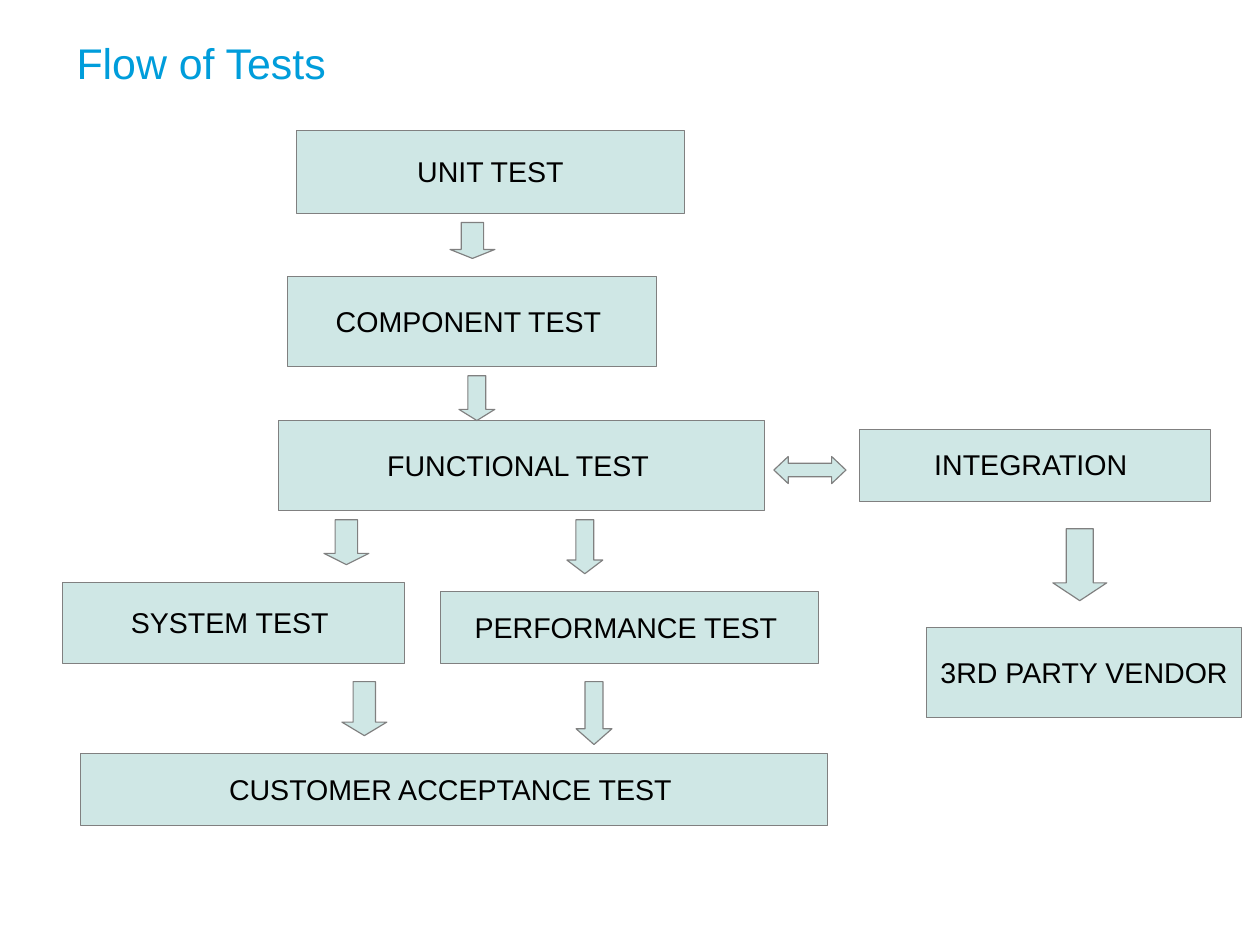
import pptx
import pptx.dml.color
import pptx.enum.shapes
import pptx.enum.text
import pptx.util

Pt = pptx.util.Pt
RGBColor = pptx.dml.color.RGBColor
SHAPE = pptx.enum.shapes.MSO_SHAPE
ALIGN = pptx.enum.text.PP_ALIGN
ANCHOR = pptx.enum.text.MSO_ANCHOR

TITLE_BLUE = RGBColor(0x00, 0x9D, 0xDB)
PALE_GREEN = RGBColor(0xCF, 0xE7, 0xE5)
OUTLINE_GRAY = RGBColor(0x80, 0x80, 0x80)
BLACK = RGBColor(0x00, 0x00, 0x00)

# Label, outline, then left, top, width, height in points
STAGES = [
    ("UNIT TEST", SHAPE.FLOWCHART_PROCESS, 187, 82.1, 244, 52.6),
    ("COMPONENT TEST ", SHAPE.FLOWCHART_PROCESS, 181.2, 174.1, 232.6, 56.7),
    ("FUNCTIONAL TEST ", SHAPE.FLOWCHART_PROCESS, 175.7, 264.8, 306, 56.8),
    ("SYSTEM TEST ", SHAPE.RECTANGLE, 39.4, 366.9, 215.4, 51),
    ("PERFORMANCE TEST ", SHAPE.RECTANGLE, 277.6, 372.7, 238.1, 45.4),
    ("INTEGRATION ", SHAPE.RECTANGLE, 541.3, 270.4, 221.1, 45.4),
    ("CUSTOMER ACCEPTANCE TEST ", SHAPE.FLOWCHART_PROCESS, 50.9, 474.8, 470.4, 45.3),
    ("3RD PARTY VENDOR", SHAPE.FLOWCHART_PROCESS, 583.6, 395.2, 198.6, 56.9),
]

# Head length ratio, direction, then left, top, width, height in points
ARROWS = [
    (0.25, SHAPE.DOWN_ARROW, 283.5, 140.2, 28.3, 22.6),
    (0.31, SHAPE.DOWN_ARROW, 289.1, 236.7, 22.6, 28.2),
    (0.25, SHAPE.DOWN_ARROW, 204.1, 327.4, 28.3, 28.3),
    (0.38, SHAPE.DOWN_ARROW, 357.1, 327.4, 22.6, 34),
    (0.53, SHAPE.LEFT_RIGHT_ARROW, 487.5, 287.6, 45.4, 17),
    (0.3, SHAPE.DOWN_ARROW, 215.4, 429.4, 28.3, 34),
    (0.44, SHAPE.DOWN_ARROW, 362.9, 429.4, 22.6, 39.6),
    (0.33, SHAPE.DOWN_ARROW, 663.2, 333.1, 34, 45.3),
]


def write_text(frame, text, *, size, color, align, anchor, insets, wrap, spacing=None):
    frame.auto_size = pptx.enum.text.MSO_AUTO_SIZE.NONE
    frame.word_wrap = wrap
    frame.vertical_anchor = anchor
    (frame.margin_left, frame.margin_top,
     frame.margin_right, frame.margin_bottom) = [Pt(inset) for inset in insets]
    paragraph = frame.paragraphs[0]
    paragraph.alignment = align
    paragraph.line_spacing = spacing
    run = paragraph.add_run()
    run.text = text
    run.font.name = "Arial"
    run.font.size = Pt(size)
    run.font.color.rgb = color


def add_outlined_shape(slide, kind, bounds):
    shape = slide.shapes.add_shape(kind, *[Pt(length) for length in bounds])
    shape.shadow.inherit = False
    shape.fill.solid()
    shape.fill.fore_color.rgb = PALE_GREEN
    shape.line.color.rgb = OUTLINE_GRAY
    shape.line.width = Pt(0.75)
    return shape


def add_stage(slide, label, kind, *bounds):
    stage = add_outlined_shape(slide, kind, bounds)
    write_text(stage.text_frame, label, size=18, color=BLACK, align=ALIGN.CENTER,
               anchor=ANCHOR.MIDDLE, insets=(7.2, 5, 7.2, 3.6), wrap=False, spacing=0.93)


def add_arrow(slide, head_ratio, kind, *bounds):
    arrow = add_outlined_shape(slide, kind, bounds)
    arrow.adjustments[0] = 0.5
    arrow.adjustments[1] = head_ratio


def set_title(slide, text):
    title = slide.shapes.title
    title.left, title.top, title.width, title.height = Pt(39.6), Pt(19.4), Pt(714.2), Pt(99.4)
    write_text(title.text_frame, text, size=27, color=TITLE_BLUE, align=ALIGN.LEFT,
               anchor=ANCHOR.TOP, insets=(8.6, 3.5, 8.6, 4.3), wrap=True)


def main():
    deck = pptx.Presentation()
    deck.slide_width = Pt(793.7)
    deck.slide_height = Pt(595.28)
    slide = deck.slides.add_slide(deck.slide_layouts.get_by_name("Title Only"))

    set_title(slide, "Flow of Tests")

    # Test stages
    for stage in STAGES:
        add_stage(slide, *stage)

    # Arrows between the stages
    for arrow in ARROWS:
        add_arrow(slide, *arrow)

    deck.save("out.pptx")


if __name__ == "__main__":
    main()
